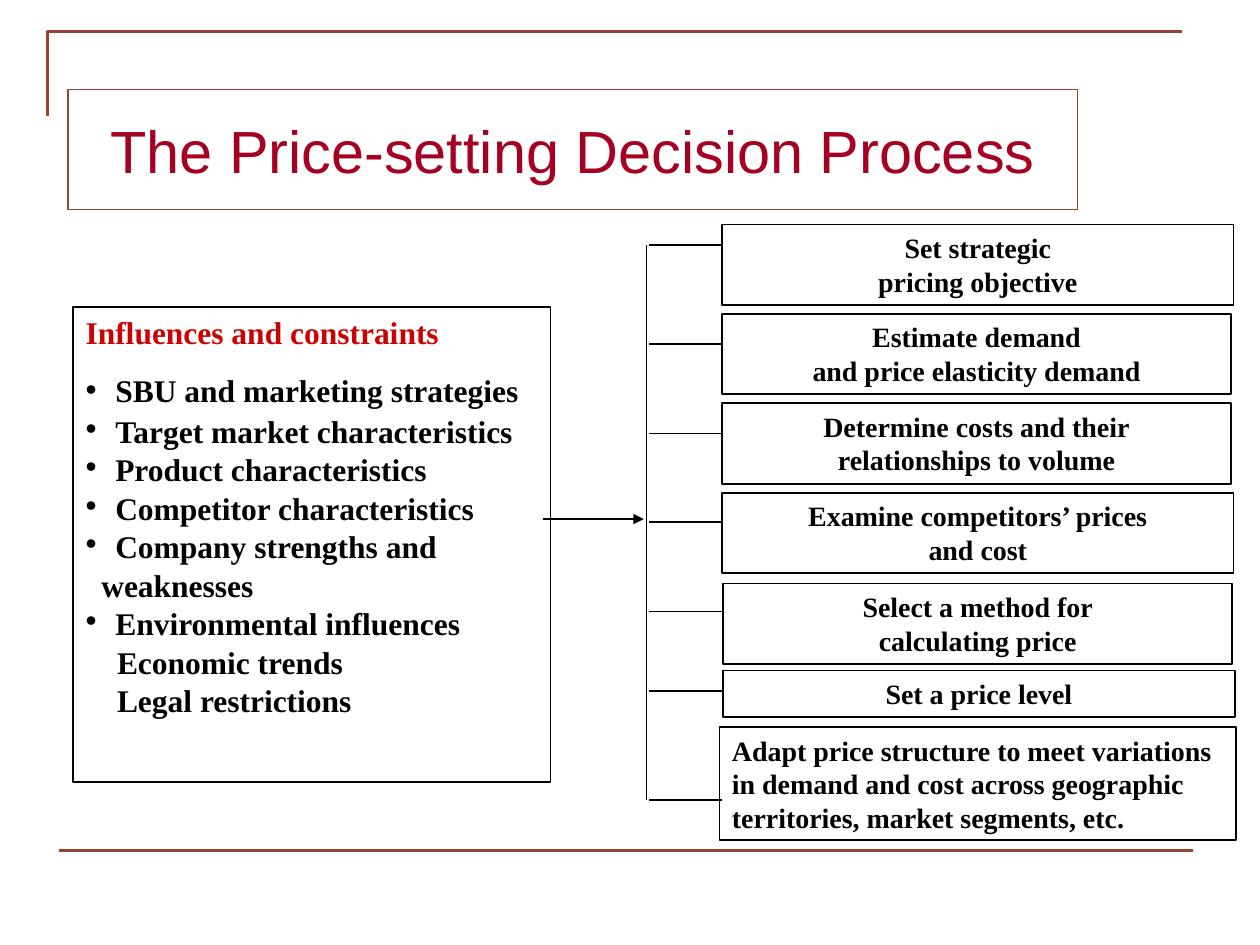
from lxml import etree
from pptx import Presentation
from pptx.dml.color import RGBColor
from pptx.enum import shapes, text
from pptx.oxml import ns
from pptx.util import Pt

BLACK, RED, CRIMSON, RUST = "000000", "CC0000", "A50021", "964332"
SERIF = "Times New Roman"

# Text, left offset, top offset, width, height, branch offset from column top
STEPS = [
    ("Set strategic\npricing objective", 0, 0, 292.3, 46, 11.7),
    ("Estimate demand\nand price elasticity demand", 0, 51.1, 290.9, 46, 68.4),
    ("Determine costs and their\nrelationships to volume", 0, 102.2, 290.9, 46, 119.5),
    ("Examine competitors’ prices\nand cost", 0, 153.3, 292.3, 46, 170.2),
    ("Select a method for\ncalculating price", 0.7, 205.3, 290.9, 46, 221.2),
    ("Set a price level", 0.7, 255, 292.3, 26.6, 266.5),
    ("Adapt price structure to meet variations in demand and cost "
     "across geographic territories, market segments, etc.", -1.4, 287.2, 295.2, 64.8, 329),
]

# Text, bulleted, left indent
INFLUENCES = [
    ("SBU and marketing strategies", True, 17),
    ("Target market characteristics", True, 17),
    ("Product characteristics", True, 17),
    ("Competitor characteristics", True, 17),
    ("Company strengths and", True, 17),
    ("weaknesses", False, 9),
    ("Environmental influences", True, 17),
    ("Economic trends", False, 18),
    ("Legal restrictions", False, 18),
]


def rgb(value):
    return RGBColor.from_string(value)


def set_line(shape, color, width):
    shape.line.color.rgb = rgb(color)
    shape.line.width = Pt(width)


def set_font(paragraph, name, size, color, bold):
    font = paragraph.font
    font.name, font.size, font.bold = name, Pt(size), bold
    font.color.rgb = rgb(color)


def set_indent(paragraph, left, bulleted):
    props = paragraph._p.get_or_add_pPr()
    props.set("marL", str(Pt(left)))
    props.set("indent", str(Pt(-left if bulleted else 0)))
    if bulleted:
        etree.SubElement(props, ns.qn("a:buFont"), typeface="Arial")
        etree.SubElement(props, ns.qn("a:buChar"), char="•")


def add_line(slide, x1, y1, x2, y2, color=BLACK, width=1, arrow=False):
    line = slide.shapes.add_connector(
        shapes.MSO_CONNECTOR.STRAIGHT, Pt(x1), Pt(y1), Pt(x2), Pt(y2))
    set_line(line, color, width)
    props = line._element.spPr
    if arrow:
        etree.SubElement(props.find(ns.qn("a:ln")), ns.qn("a:tailEnd"), type="triangle")
    etree.SubElement(props, ns.qn("a:effectLst"))


def add_box(slide, left, top, width, height):
    box = slide.shapes.add_textbox(Pt(left), Pt(top), Pt(width), Pt(height))
    set_line(box, BLACK, 1)
    box.text_frame.word_wrap = True
    return box.text_frame


def add_frame(slide, left, top, width):
    # Corner rule at the top
    builder = slide.shapes.build_freeform(Pt(left), Pt(top + 48.2))
    builder.add_line_segments(
        [(Pt(left), Pt(top)), (Pt(left + width), Pt(top))], close=False)
    corner = builder.convert_to_shape()
    corner.fill.background()
    corner.shadow.inherit = False
    set_line(corner, RUST, 1.5)
    # Rule at the bottom
    add_line(slide, left + 6.8, top + 468, left + 6.8 + width, top + 468, RUST, 1.5)


def add_title(slide, left, top, width, height):
    title = slide.shapes.title
    title.left, title.top, title.width, title.height = map(Pt, (left, top, width, height))
    set_line(title, RUST, 0.75)
    frame = title.text_frame
    frame.text = "The Price-setting Decision Process"
    frame.auto_size = text.MSO_AUTO_SIZE.NONE
    frame.vertical_anchor = text.MSO_ANCHOR.MIDDLE
    heading = frame.paragraphs[0]
    heading.alignment = text.PP_ALIGN.CENTER
    set_font(heading, "Arial", 34, CRIMSON, False)


def add_influences(slide, left, top, width, height):
    frame = add_box(slide, left, top, width, height)
    heading = frame.paragraphs[0]
    heading.text = "Influences and constraints"
    set_font(heading, SERIF, 18, RED, True)
    for index, (label, bulleted, indent) in enumerate(INFLUENCES):
        item = frame.add_paragraph()
        item.text = label
        item.space_before = Pt(11.2)
        if index:
            item.line_spacing = 0.5
        set_indent(item, indent, bulleted)
        set_font(item, SERIF, 18, BLACK, True)


def add_steps(slide, left, top):
    for label, dx, dy, width, height, _ in STEPS:
        frame = add_box(slide, left + dx, top + dy, width, height)
        frame.text = label
        last = label == STEPS[-1][0]
        for paragraph in frame.paragraphs:
            paragraph.alignment = text.PP_ALIGN.LEFT if last else text.PP_ALIGN.CENTER
            set_font(paragraph, SERIF, 16, BLACK, True)
    # Branches, their trunk and the arrow leading to it
    branches = [top + step[-1] for step in STEPS]
    for y in branches:
        add_line(slide, left, y, left - 41.8, y)
    trunk = left - 43.2
    add_line(slide, trunk, branches[0], trunk, branches[-1])
    add_line(slide, trunk - 59, 296.6, trunk - 1.5, 296.6, width=0.75, arrow=True)


def main():
    deck = Presentation()
    deck.slide_width, deck.slide_height = Pt(720), Pt(540)
    slide = deck.slides.add_slide(deck.slide_layouts[5])
    add_frame(slide, 27.2, 18, 648)
    add_title(slide, 38.9, 51.2, 576.8, 68.4)
    add_influences(slide, 41.8, 175.6, 272.8, 271.4)
    add_steps(slide, 412.6, 128.2)
    deck.save("out.pptx")


if __name__ == "__main__":
    main()
